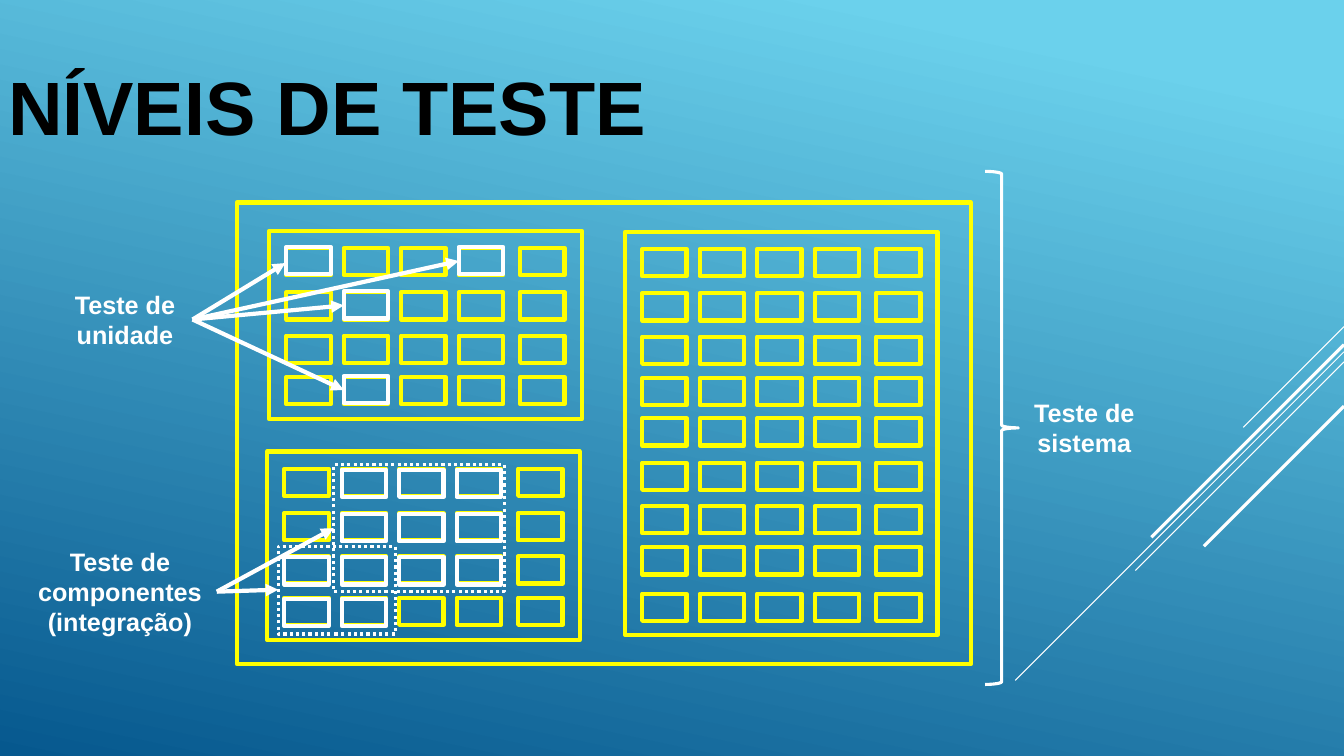
from pptx import Presentation
from pptx.dml.color import RGBColor
from pptx.enum.dml import MSO_LINE
from pptx.enum.shapes import MSO_CONNECTOR, MSO_SHAPE
from pptx.enum.text import MSO_ANCHOR, MSO_AUTO_SIZE, PP_ALIGN
from pptx.oxml.ns import qn
from pptx.util import Inches, Pt
from lxml.etree import SubElement

SKY = RGBColor(0x6B, 0xD1, 0xEC)
DEEP_BLUE = RGBColor(0x06, 0x58, 0x8E)
YELLOW = RGBColor(0xFF, 0xFF, 0x00)
WHITE = RGBColor(0xFF, 0xFF, 0xFF)
BLACK = RGBColor(0x00, 0x00, 0x00)

# Unit positions measured from the corner of a component
COLUMNS = (0.17, 0.74, 1.31, 1.88, 2.49)
ROWS = (0.17, 0.61, 1.04, 1.45, 1.85, 2.29, 2.72, 3.13, 3.59)
UNIT_WIDTH, UNIT_HEIGHT = 0.44, 0.27

# Components: left, top, width, height, number of unit rows
UNIT_COMPONENT = (2.67, 2.29, 3.1, 1.87, 4)
SYSTEM_COMPONENT = (6.2, 2.3, 3.1, 4, 9)
INTEGRATION_COMPONENT = (2.65, 4.48, 3.1, 1.87, 4)


class TestLevelsSlide:
    font_name = "Arial"

    def __init__(self, presentation):
        self.slide = presentation.slides.add_slide(presentation.slide_layouts[6])

    def background(self, start, end, angle):
        fill = self.slide.background.fill
        fill.gradient()
        fill.gradient_angle = angle
        for stop, (position, color) in zip(fill.gradient_stops, (start, end)):
            stop.position = position
            stop.color.rgb = color

    def stroke(self, line, color, weight, dash=None):
        line.color.rgb = color
        line.width = Pt(weight)
        if dash:
            line.dash_style = dash

    def outline(self, left, top, width, height, color, weight=3, dash=None,
                kind=MSO_SHAPE.RECTANGLE):
        shape = self.slide.shapes.add_shape(
            kind, Inches(left), Inches(top), Inches(width), Inches(height))
        shape.shadow.inherit = False
        shape.fill.background()
        self.stroke(shape.line, color, weight, dash)
        SubElement(shape.line._get_or_add_ln(), qn("a:round"))
        return shape

    def unit(self, component, row, column, color, shift=0):
        self.outline(component[0] + COLUMNS[column], component[1] + ROWS[row] + shift,
                     UNIT_WIDTH, UNIT_HEIGHT, color)

    def component(self, component):
        *box, row_count = component
        self.outline(*box, YELLOW)
        for row in range(row_count):
            for column in range(len(COLUMNS)):
                self.unit(component, row, column, YELLOW)

    def line(self, start, end, weight, arrow=False):
        connector = self.slide.shapes.add_connector(
            MSO_CONNECTOR.STRAIGHT, *(Inches(value) for value in (*start, *end)))
        self.stroke(connector.line, WHITE, weight)
        if arrow:
            SubElement(connector.line._get_or_add_ln(), qn("a:tailEnd"), type="triangle")
        SubElement(connector._element.spPr, qn("a:effectLst"))

    def text(self, left, top, width, height, content, size, color,
             margins=(0.1, 0.05), align=PP_ALIGN.CENTER, anchor=MSO_ANCHOR.TOP,
             auto_size=MSO_AUTO_SIZE.SHAPE_TO_FIT_TEXT, spacing=None):
        box = self.slide.shapes.add_textbox(
            Inches(left), Inches(top), Inches(width), Inches(height))
        frame = box.text_frame
        frame.word_wrap = True
        frame.auto_size = auto_size
        frame.vertical_anchor = anchor
        frame.margin_left = frame.margin_right = Inches(margins[0])
        frame.margin_top = frame.margin_bottom = Inches(margins[1])
        paragraph = frame.paragraphs[0]
        paragraph.alignment = align
        paragraph.line_spacing = spacing
        run = paragraph.add_run()
        run.text = content
        run.font.name = self.font_name
        run.font.size = Pt(size)
        run.font.bold = True
        run.font.color.rgb = color


def main():
    presentation = Presentation()
    presentation.slide_width = Inches(13.33)
    presentation.slide_height = Inches(7.5)
    slide = TestLevelsSlide(presentation)

    # Background with diagonal rays from the right edge
    slide.background((0.1, SKY), (1, DEEP_BLUE), 258)
    for top, run_length, weight in ((3.24, 1, 0.75), (3.49, 3.26, 0.75), (3.59, 2.07, 0.75),
                                    (3.42, 1.91, 2.25), (4.03, 1.39, 2.25)):
        slide.line((13.33, top), (13.33 - run_length, top + run_length), weight)

    # Title
    slide.text(0, 0.38, 11.59, 1.45, "NÍVEIS DE TESTE", 54, BLACK, margins=(0.08, 0.04),
               align=PP_ALIGN.LEFT, anchor=MSO_ANCHOR.MIDDLE,
               auto_size=MSO_AUTO_SIZE.NONE, spacing=0.9)

    # System with its components
    slide.outline(2.35, 2.01, 7.28, 4.58, YELLOW)
    for component in (UNIT_COMPONENT, SYSTEM_COMPONENT, INTEGRATION_COMPONENT):
        slide.component(component)

    # System test
    brace = slide.outline(9.77, 1.7, 0.33, 5.09, WHITE, 2.25, kind=MSO_SHAPE.RIGHT_BRACE)
    brace.adjustments[0] = 0.083
    brace.adjustments[1] = 0.5
    slide.text(9.95, 3.89, 1.61, 0.7, "Teste de sistema", 18, WHITE)

    # Unit test
    for row, column in ((0, 0), (1, 1), (3, 1), (0, 3)):
        slide.unit(UNIT_COMPONENT, row, column, WHITE, -0.01)
    slide.text(0.57, 2.82, 1.34, 0.7, "Teste de unidade", 18, WHITE)
    for target in ((2.83, 2.61), (3.41, 3.03), (4.55, 2.59), (3.41, 3.87)):
        slide.line((1.91, 3.17), target, 3, arrow=True)

    # Component (integration) test
    for row, tested_columns in enumerate(((1, 2, 3), (1, 2, 3), (0, 1, 2, 3), (0, 1))):
        for column in tested_columns:
            slide.unit(INTEGRATION_COMPONENT, row, column, WHITE, 0.01)
    slide.text(0.23, 5.37, 1.92, 1, "Teste de componentes (integração)", 18, WHITE)
    for box in ((2.76, 5.42, 1.16, 0.87), (3.31, 4.61, 1.69, 1.26)):
        slide.outline(*box, WHITE, 2.25, MSO_LINE.ROUND_DOT)
    for target in ((3.31, 5.24), (2.76, 5.85)):
        slide.line((2.15, 5.87), target, 3, arrow=True)

    presentation.save("out.pptx")


if __name__ == "__main__":
    main()
